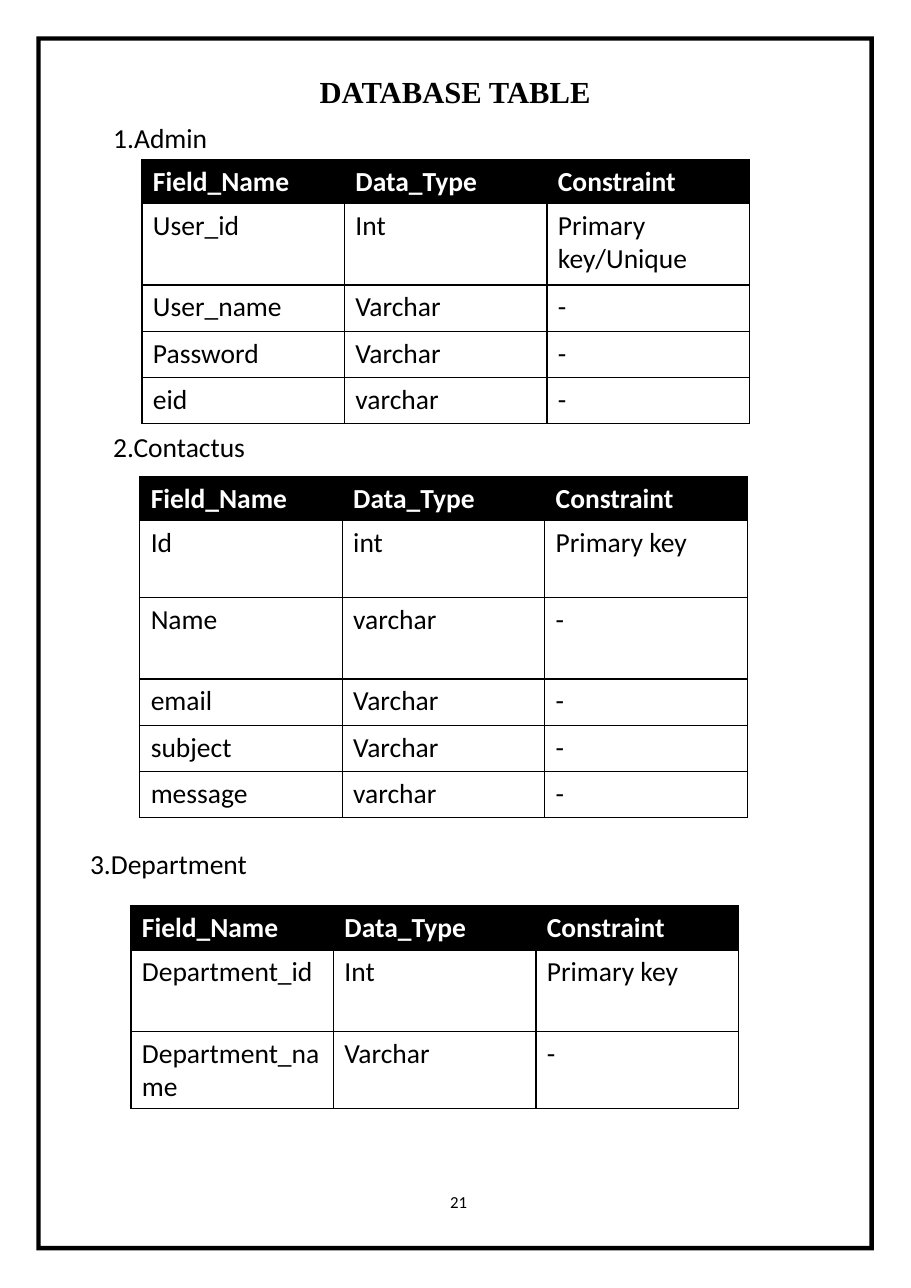
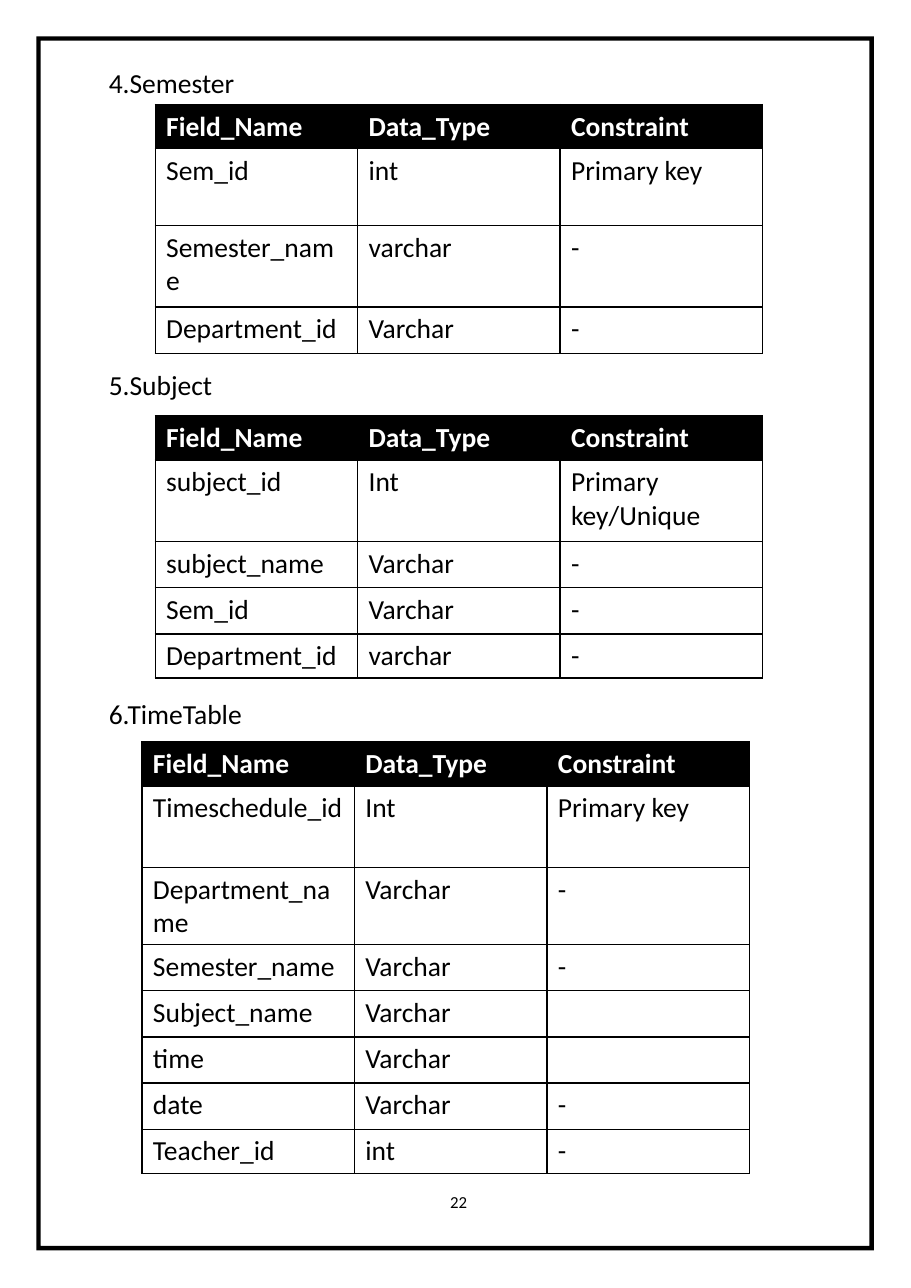
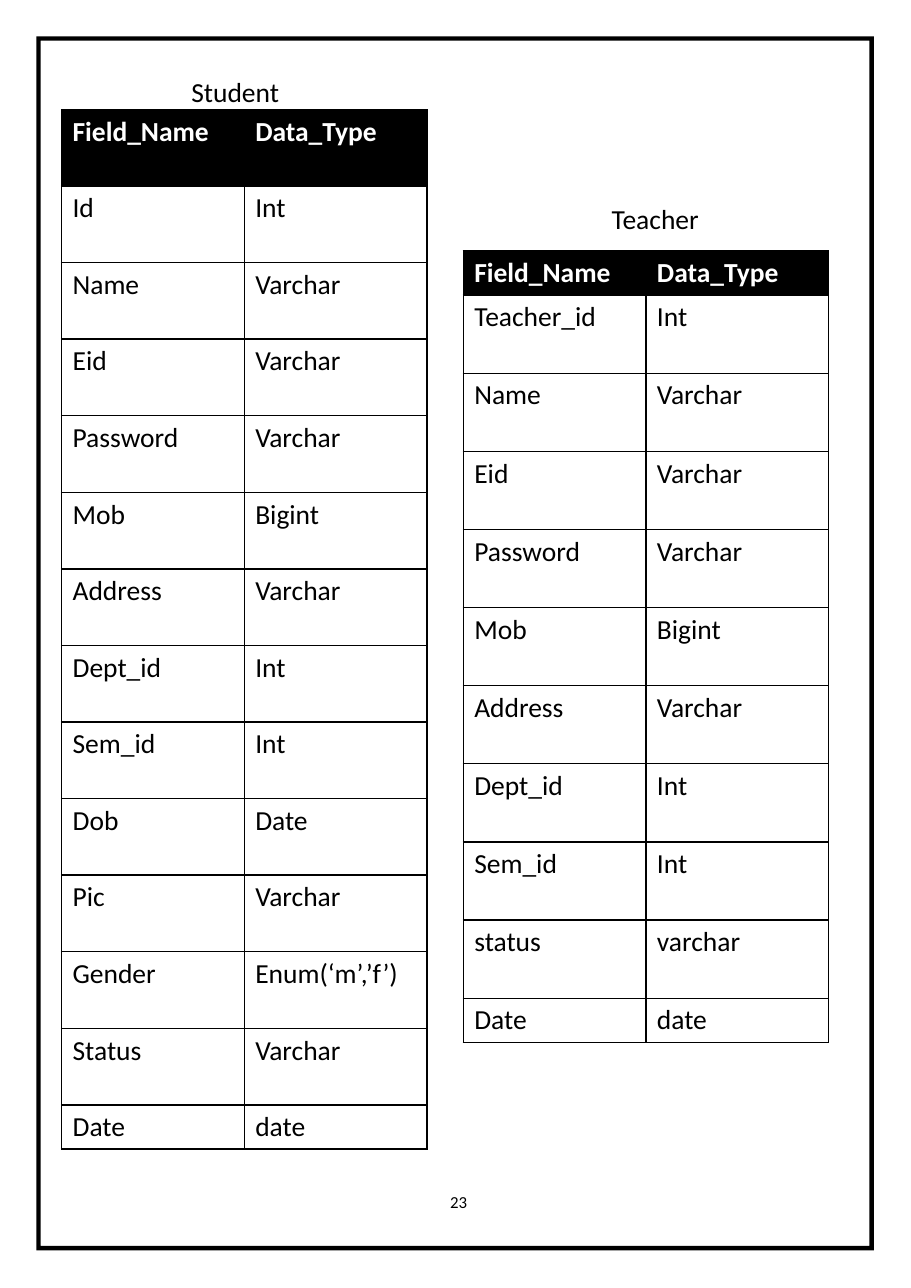
from lxml import etree
from pptx import Presentation
from pptx.dml.color import RGBColor
from pptx.enum.shapes import MSO_SHAPE
from pptx.enum.text import MSO_ANCHOR, MSO_AUTO_SIZE, PP_ALIGN
from pptx.oxml.ns import qn
from pptx.util import Inches, Pt

FRAME = MSO_SHAPE.FRAME
TOP = MSO_ANCHOR.TOP
FIXED = MSO_AUTO_SIZE.NONE
CENTER = PP_ALIGN.CENTER
BLACK = RGBColor(0, 0, 0)
WHITE = RGBColor(255, 255, 255)
SANS = "Calibri"
SERIF = "Times New Roman"
TITLE_ONLY, BLANK = 5, 6
FIRST = 21
WIDE, HIGH = Pt(596), Pt(842.5)

HEAD = ("Field_Name", "Data_Type", "Constraint")
EVEN = (1.84, 1.84, 1.84)
PAIR = (1.66, 1.66)
LINE, ROW, WRAP, TALL = 0.39, 0.42, 0.74, 0.7
STEP = (9.44 - 0.69 - 0.4) / 12

ADMIN = [
    ("User_id", "Int", "Primary key/Unique"),
    ("User_name", "Varchar", "-"),
    ("Password", "Varchar", "-"),
    ("eid", "varchar", "-"),
]
CONTACT = [
    ("Id", "int", "Primary key"),
    ("Name", "varchar", "-"),
    ("email", "Varchar", "-"),
    ("subject", "Varchar", "-"),
    ("message", "varchar", "-"),
]
DEPT = [
    ("Department_id", "Int", "Primary key"),
    ("Department_name", "Varchar", "-"),
]
TERM = [
    ("Sem_id", "int", "Primary key"),
    ("Semester_name", "varchar", "-"),
    ("Department_id", "Varchar", "-"),
]
SUBJECT = [
    ("subject_id", "Int", "Primary key/Unique"),
    ("subject_name", "Varchar", "-"),
    ("Sem_id", "Varchar", "-"),
    ("Department_id", "varchar", "-"),
]
TIMES = [
    ("Timeschedule_id", "Int", "Primary key"),
    ("Department_name", "Varchar", "-"),
    ("Semester_name", "Varchar", "-"),
    ("Subject_name", "Varchar", ""),
    ("time", "Varchar", ""),
    ("date", "Varchar", "-"),
    ("Teacher_id", "int", "-"),
]
STUDENT = [
    ("Id", "Int"),
    ("Name", "Varchar"),
    ("Eid", "Varchar"),
    ("Password", "Varchar"),
    ("Mob", "Bigint"),
    ("Address", "Varchar"),
    ("Dept_id", "Int"),
    ("Sem_id", "Int"),
    ("Dob", "Date"),
    ("Pic", "Varchar"),
    ("Gender", "Enum(‘m’,’f’)"),
    ("Status", "Varchar"),
    ("Date", "date"),
]
TEACHER = [
    ("Teacher_id", "Int"),
    ("Name", "Varchar"),
    ("Eid", "Varchar"),
    ("Password", "Varchar"),
    ("Mob", "Bigint"),
    ("Address", "Varchar"),
    ("Dept_id", "Int"),
    ("Sem_id", "Int"),
    ("status", "varchar"),
    ("Date", "date"),
]

PAGES = [
    ("DATABASE TABLE", [
        ("1.Admin", (0.93, 1.05), (1.29, 1.45), EVEN,
         [LINE, WRAP] + [ROW] * 3, ADMIN),
        ("2.Contactus", (0.93, 3.86), (1.27, 4.33), EVEN,
         [LINE, TALL, WRAP] + [ROW] * 3, CONTACT),
        ("3.Department", (0.72, 7.65), (1.19, 8.23), EVEN,
         [LINE, WRAP, TALL], DEPT),
    ]),
    (None, [
        ("4.Semester", (0.89, 0.55), (1.41, 0.95), EVEN,
         [LINE, TALL, WRAP, ROW], TERM),
        ("5.Subject", (0.89, 3.29), (1.41, 3.78), EVEN,
         [LINE, WRAP, ROW, ROW, LINE], SUBJECT),
        ("6.TimeTable", (0.89, 6.28), (1.29, 6.74), (1.93, 1.75, 1.84),
         [LINE, WRAP, TALL] + [ROW] * 4 + [LINE], TIMES),
    ]),
    (None, [
        ("Student", (1.64, 0.63), (0.56, 1), PAIR,
         [0.69] + [STEP] * 12 + [0.4], STUDENT),
        ("Teacher", (5.46, 1.79), (4.21, 2.28), PAIR,
         [LINE] + [0.71] * 9 + [LINE], TEACHER),
    ]),
]


def style(para, size, color=BLACK, bold=False, face=SANS):
    font = para.font
    font.name, font.size, font.bold = face, Pt(size), bold
    font.color.rgb = color


def add_title(slide, text):
    title = slide.shapes.title
    title.left, title.top = Inches(1.29), Inches(0.64)
    title.width, title.height = Inches(5.69), Inches(0.36)
    frame = title.text_frame
    frame.auto_size, frame.vertical_anchor = FIXED, TOP
    frame.margin_left = frame.margin_right = frame.margin_bottom = 0
    frame.margin_top = Inches(0.04)
    frame.text = text
    para = frame.paragraphs[0]
    para.alignment, para.line_spacing = CENTER, Pt(23)
    style(para, 20, bold=True, face=SERIF)


def add_frame(slide):
    edge = slide.shapes.add_shape(
        FRAME, Inches(0.33), Inches(0.33), Inches(7.61), Inches(11.03))
    edge.adjustments[0] = 0.04 / 7.61
    edge.shadow.inherit = False
    edge.fill.solid()
    edge.fill.fore_color.rgb = BLACK
    edge.line.fill.background()


def add_text(slide, text, place, width, height, size):
    box = slide.shapes.add_textbox(
        *map(Inches, place), Inches(width), Inches(height))
    frame = box.text_frame
    frame.word_wrap = True
    frame.text = text
    style(frame.paragraphs[0], size)
    return frame


def add_page(slide, number):
    frame = add_text(slide, str(number), (4.09, 10.85), 0.23, 0.18, 11)
    frame.margin_left = frame.margin_right = 0
    frame.margin_top = frame.margin_bottom = 0
    frame.paragraphs[0].line_spacing = Pt(11.5)


def add_edges(cell):
    props = cell._tc.get_or_add_tcPr()
    for side in ("lnL", "lnR", "lnT", "lnB"):
        line = etree.SubElement(props, qn("a:" + side), w=str(Pt(1)))
        fill = etree.SubElement(line, qn("a:solidFill"))
        etree.SubElement(fill, qn("a:srgbClr"), val=str(BLACK))


def add_grid(slide, place, cols, tall, rows):
    rows = [HEAD[:len(cols)]] + rows
    table = slide.shapes.add_table(
        len(rows), len(cols), *map(Inches, place),
        Inches(sum(cols)), Inches(sum(tall))).table
    table.horz_banding = False
    for col, width in zip(table.columns, cols):
        col.width = Inches(width)
    for r, (height, words) in enumerate(zip(tall, rows)):
        table.rows[r].height = Inches(height)
        head = r == 0
        for c, word in enumerate(words):
            cell = table.cell(r, c)
            add_edges(cell)
            cell.fill.solid()
            cell.fill.fore_color.rgb = BLACK if head else WHITE
            cell.text = word
            style(cell.text_frame.paragraphs[0], 18,
                  WHITE if head else BLACK, head)


def main():
    deck = Presentation()
    deck.slide_width, deck.slide_height = WIDE, HIGH
    for number, (title, parts) in enumerate(PAGES, FIRST):
        layout = deck.slide_layouts[TITLE_ONLY if title else BLANK]
        slide = deck.slides.add_slide(layout)
        if title:
            add_title(slide, title)
        add_frame(slide)
        add_page(slide, number)
        for label, spot, place, cols, tall, rows in parts:
            add_text(slide, label, spot, 2.2, 0.4, 18)
            add_grid(slide, place, cols, tall, rows)
    deck.save("out.pptx")


if __name__ == "__main__":
    main()
